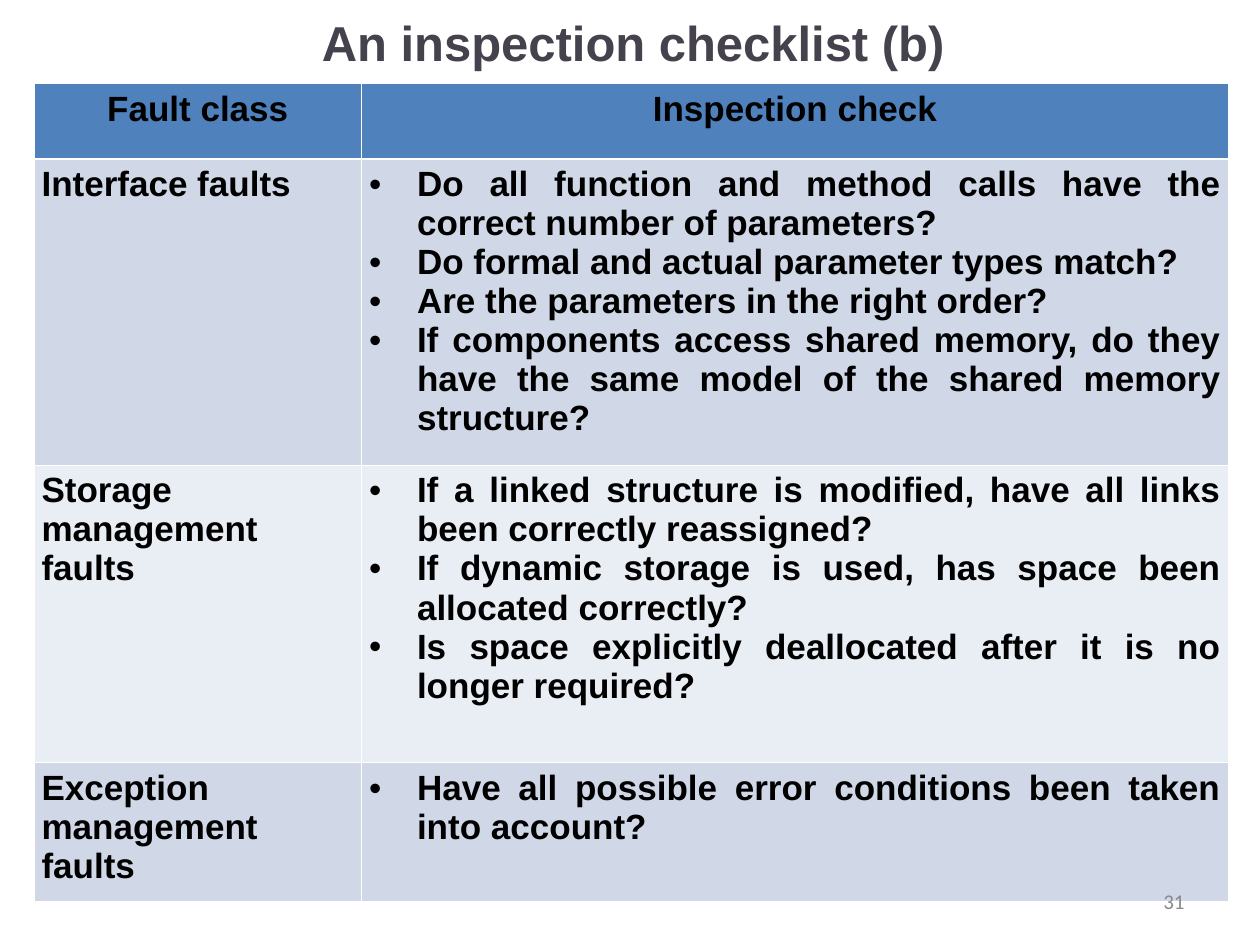
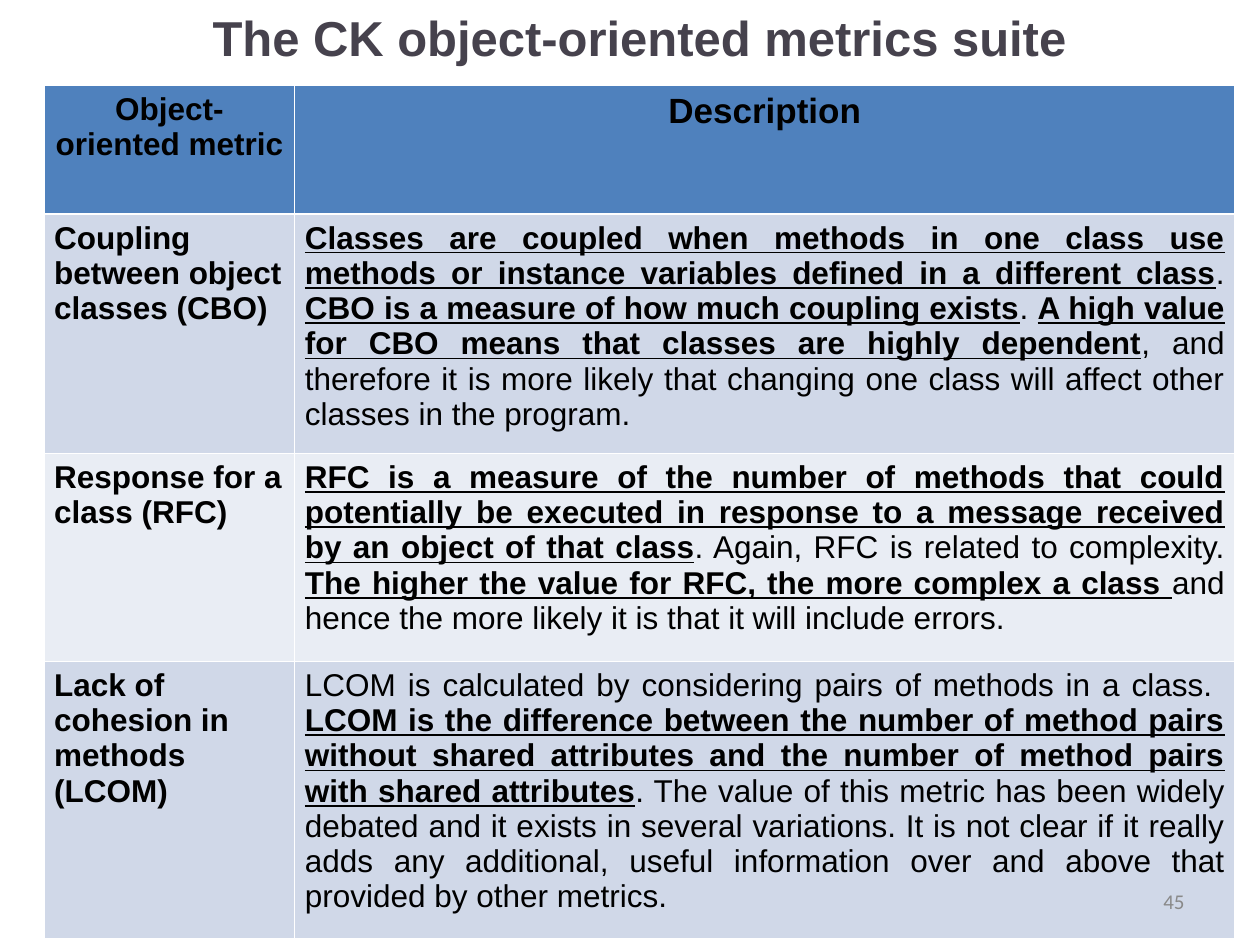
from dataclasses import dataclass

from lxml import etree
from pptx import Presentation
from pptx.dml.color import RGBColor
from pptx.enum.text import MSO_ANCHOR, MSO_AUTO_SIZE, PP_ALIGN
from pptx.oxml.ns import qn
from pptx.util import Inches, Pt

LEFT, CENTER = PP_ALIGN.LEFT, PP_ALIGN.CENTER
RIGHT, JUSTIFY = PP_ALIGN.RIGHT, PP_ALIGN.JUSTIFY
MIDDLE, NO_FIT = MSO_ANCHOR.MIDDLE, MSO_AUTO_SIZE.NONE
TITLE_ONLY = 5


@dataclass
class Span:
    text: str
    bold: bool = True
    underline: bool = False


def key(text):
    return Span(text, underline=True)


def plain(text):
    return Span(text, bold=False)


@dataclass
class Text:
    """Paragraphs of a cell, each a list of spans."""
    paragraphs: list
    size: int
    align: int = LEFT
    bulleted: bool = False


def rgb(value):
    return RGBColor.from_string(value)


class Deck:
    """Places elements on a grid of 100 columns by 100 rows."""
    FONT, NUMBER_FONT = "Arial", "Calibri"
    INK, TITLE_INK, NUMBER_INK = "000000", "46424D", "898989"
    HEADER, BANDS, RULE = "4F81BD", ("D0D8E8", "E9EDF4"), "FFFFFF"
    THIN, THICK = Pt(0.45), Pt(1.47)
    BULLET_INDENT = Inches(0.38)

    def __init__(self):
        self.deck = Presentation()
        self.deck.slide_width, self.deck.slide_height = Inches(10), Inches(7.5)
        self.page = None

    def across(self, columns):
        return round(self.deck.slide_width * columns / 100)

    def down(self, rows):
        return round(self.deck.slide_height * rows / 100)

    def area(self, left, top, width, height):
        return self.across(left), self.down(top), self.across(width), self.down(height)

    def add_span(self, para, span, size, color=INK, font=FONT):
        run = para.add_run()
        run.text = span.text
        run.font.name, run.font.size = font, Pt(size)
        run.font.bold, run.font.underline = span.bold, span.underline
        run.font.color.rgb = rgb(color)

    def add_page(self, title, area):
        self.page = self.deck.slides.add_slide(self.deck.slide_layouts[TITLE_ONLY])
        box = self.page.shapes.title
        box.left, box.top, box.width, box.height = self.area(*area)
        frame = box.text_frame
        frame.word_wrap, frame.auto_size = True, NO_FIT
        frame.vertical_anchor = MIDDLE
        para = frame.paragraphs[0]
        para.alignment = CENTER
        self.add_span(para, Span(title), 28, self.TITLE_INK)

    def add_number(self, number):
        box = self.page.shapes.add_textbox(*self.area(71.7, 92.67, 23.3, 5.33))
        frame = box.text_frame
        frame.word_wrap, frame.vertical_anchor = True, MIDDLE
        para = frame.paragraphs[0]
        para.alignment = RIGHT
        self.add_span(para, plain(number), 12, self.NUMBER_INK, self.NUMBER_FONT)

    def add_bullet(self, para):
        props = para._p.get_or_add_pPr()
        props.set("marL", str(self.BULLET_INDENT))
        props.set("indent", str(-self.BULLET_INDENT))
        color = etree.SubElement(props, qn("a:buClr"))
        etree.SubElement(color, qn("a:srgbClr")).set("val", self.INK)
        etree.SubElement(props, qn("a:buFont")).set("typeface", self.FONT)
        etree.SubElement(props, qn("a:buChar")).set("char", "•")

    def add_borders(self, cell, row):
        widths = {"L": self.THIN, "R": self.THIN,
                  "T": self.THICK if row == 1 else self.THIN,
                  "B": self.THICK if row == 0 else self.THIN}
        props = cell._tc.get_or_add_tcPr()
        for position, (side, width) in enumerate(widths.items()):
            line = etree.Element(qn(f"a:ln{side}"), w=str(width))
            fill = etree.SubElement(line, qn("a:solidFill"))
            etree.SubElement(fill, qn("a:srgbClr")).set("val", self.RULE)
            props.insert(position, line)

    def fill_cell(self, cell, row, content, inset):
        cell.margin_left = cell.margin_right = Inches(inset)
        cell.margin_top = cell.margin_bottom = Inches(0.05)
        cell.fill.solid()
        color = self.BANDS[(row - 1) % 2] if row else self.HEADER
        cell.fill.fore_color.rgb = rgb(color)
        self.add_borders(cell, row)
        frame = cell.text_frame
        for index, spans in enumerate(content.paragraphs):
            para = frame.add_paragraph() if index else frame.paragraphs[0]
            para.alignment = content.align
            if content.bulleted:
                self.add_bullet(para)
            for span in spans:
                self.add_span(para, span, content.size)

    def add_table(self, left, top, widths, heights, rows, inset):
        area = self.area(left, top, sum(widths), sum(heights))
        table = self.page.shapes.add_table(len(rows), len(widths), *area).table
        for column, width in zip(table.columns, widths):
            column.width = self.across(width)
        for index, (row, height) in enumerate(zip(rows, heights)):
            table.rows[index].height = self.down(height)
            for column, content in enumerate(row):
                self.fill_cell(table.cell(index, column), index, content, inset)

    def save(self):
        self.deck.save("out.pptx")


def heading(text, size=20):
    return Text([[Span(text)]], size, CENTER)


CHECKS = {
    "Interface faults": [
        "Do all function and method calls have the correct number of parameters?",
        "Do formal and actual parameter types match? ",
        "Are the parameters in the right order? ",
        "If components access shared memory, do they have the same model of the "
        "shared memory structure?"],
    "Storage management faults": [
        "If a linked structure is modified, have all links been correctly reassigned?",
        "If dynamic storage is used, has space been allocated correctly?",
        "Is space explicitly deallocated after it is no longer required?"],
    "Exception management faults": [
        "Have all possible error conditions been taken into account?"],
}

METRICS = {
    "Coupling between object classes (CBO)": [
        key("Classes are coupled when methods in one class use methods or instance "
            "variables defined in a different class"),
        plain(". "),
        key("CBO is a measure of how much coupling exists"),
        plain(". "),
        key("A high value for CBO means that classes are highly dependent"),
        plain(", and therefore it is more likely that changing one class will affect "
              "other classes in the program.")],
    "Response for a class (RFC)": [
        key("RFC is a measure of the number of methods that could potentially be "
            "executed in response to a message received by an object of that class"),
        plain(". Again, RFC is related to complexity. "),
        key("The higher the value for RFC, the more complex a class "),
        plain("and hence the more likely it is that it will include errors.")],
    "Lack of cohesion in methods (LCOM)": [
        plain("LCOM is calculated by considering pairs of methods in a class.  "),
        key("LCOM is the difference between the number of method pairs without shared "
            "attributes and the number of method pairs with shared attributes"),
        plain(". The value of this metric has been widely debated and it exists in "
              "several variations. It is not clear if it really adds any additional, "
              "useful information over and above that provided by other metrics.")],
}


def build_checklist(deck):
    deck.add_page("An inspection checklist (b)", (4.5, 0, 91.5, 8.8))
    rows = [(heading("Fault class"), heading("Inspection check"))]
    for fault, checks in CHECKS.items():
        rows.append((Text([[Span(fault)]], 20, JUSTIFY),
                     Text([[Span(check)] for check in checks], 20, JUSTIFY, True)))
    deck.add_table(2.7, 8.8, (26, 68.8), (8, 32.4, 31.47, 14.67), rows, 0.06)
    deck.add_number("31")


def build_metrics(deck):
    deck.add_page("The CK object-oriented metrics suite", (5, 0.27, 91.5, 7.2))
    rows = [(heading("Object-oriented metric", 18), heading("Description"))]
    for metric, spans in METRICS.items():
        rows.append((Text([[Span(metric)]], 18), Text([spans], 18, JUSTIFY)))
    deck.add_table(3.5, 9.07, (19.9, 74.6), (13.6, 25.33, 22, 29.33), rows, 0.08)
    deck.add_number("45")


def main():
    deck = Deck()
    build_checklist(deck)
    build_metrics(deck)
    deck.save()


if __name__ == "__main__":
    main()
